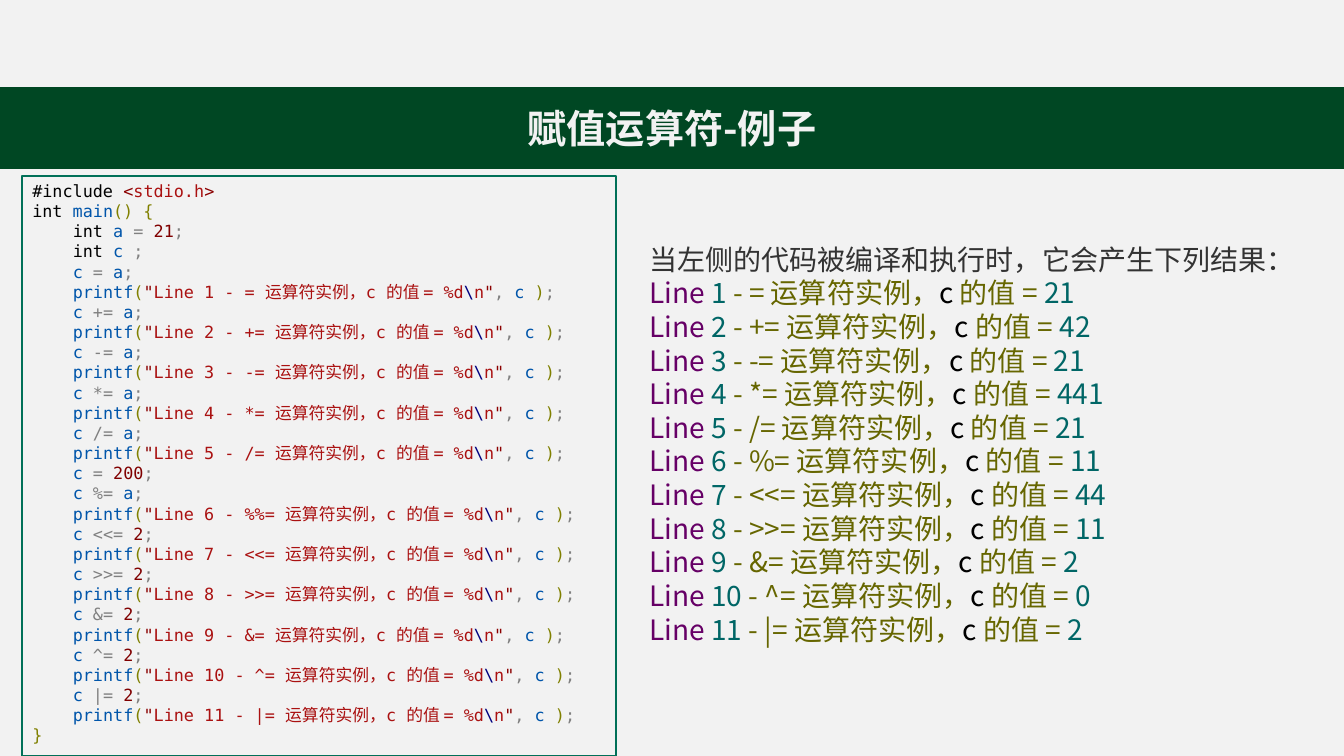
from dataclasses import dataclass

from pptx import Presentation
from pptx.dml.color import RGBColor
from pptx.enum.shapes import MSO_SHAPE
from pptx.enum.text import MSO_ANCHOR as Anchor, MSO_AUTO_SIZE as AutoSize, PP_ALIGN as Align
from pptx.oxml.ns import qn
from pptx.util import Emu, Inches, Pt

SLIDE_WIDTH, SLIDE_HEIGHT = Inches(13.33), Inches(7.5)
GRID = 120  # columns and rows across the slide
SANS, MONO = "Noto Sans CJK SC", "DejaVu Sans Mono"
LINE_RATIO = 1.2
CODE_INDENT = Pt(28.9)  # four monospaced characters

PALE, GREEN, FRAME = "F2F2F2", "004723", "017058"
KEYWORD, NAME, SIGN, NUMBER = "000000", "0055AA", "808080", "800000"
QUOTE, STRING, BRACKET, ESCAPE = "8B0000", "AA1111", "808000", "000080"
HEADING, OUT_LINE, OUT_VALUE, OUT_TEXT = "333333", "660066", "006666", "666600"

Runs = list[tuple[str, str]]


@dataclass(frozen=True)
class Area:
    """Place on the slide, in grid columns and rows."""
    column: float
    row: float
    columns: float
    rows: float

    def box(self) -> tuple[Emu, Emu, Emu, Emu]:
        across, down = SLIDE_WIDTH / GRID, SLIDE_HEIGHT / GRID
        return (Emu(round(self.column * across)), Emu(round(self.row * down)),
                Emu(round(self.columns * across)), Emu(round(self.rows * down)))


@dataclass(frozen=True)
class Step:
    operator: str
    operand: str
    result: str


STEPS = [
    Step("=", "a", "21"), Step("+=", "a", "42"), Step("-=", "a", "21"),
    Step("*=", "a", "441"), Step("/=", "a", "21"), Step("%=", "a", "11"),
    Step("<<=", "2", "44"), Step(">>=", "2", "11"), Step("&=", "2", "2"),
    Step("^=", "2", "0"), Step("|=", "2", "2"),
]


def colour(value: str) -> RGBColor:
    return RGBColor.from_string(value)


def write(frame, lines: list[Runs], *, size: float, font: str, bold: bool = False,
          align=Align.LEFT, anchor=Anchor.TOP, wrap: bool = True, grow: bool = True,
          indents: list[int] | None = None, spacing: float | None = None) -> None:
    """Fill a text frame with one paragraph per line of coloured runs."""
    frame.word_wrap = wrap
    frame.vertical_anchor = anchor
    frame.auto_size = AutoSize.SHAPE_TO_FIT_TEXT if grow else AutoSize.NONE
    for index, runs in enumerate(lines):
        paragraph = frame.paragraphs[0] if index == 0 else frame.add_paragraph()
        paragraph.alignment = align
        if spacing:
            paragraph.line_spacing = Pt(spacing)
        if indents and indents[index]:
            properties = paragraph._p.get_or_add_pPr()
            properties.set("marL", str(indents[index]))
            properties.set("indent", "0")
        for text, shade in runs:
            run = paragraph.add_run()
            run.text = text
            run.font.size = Pt(size)
            run.font.bold = bold
            run.font.name = font
            run.font.color.rgb = colour(shade)
            east_asian = run._r.get_or_add_rPr().makeelement(qn("a:ea"), {"typeface": SANS})
            run.font._element.find(qn("a:latin")).addnext(east_asian)


def rectangle(slide, area: Area, *, fill: str | None = None, line: str | None = None,
              weight: float = 1):
    shape = slide.shapes.add_shape(MSO_SHAPE.RECTANGLE, *area.box())
    shape.shadow.inherit = False
    if fill:
        shape.fill.solid()
        shape.fill.fore_color.rgb = colour(fill)
    else:
        shape.fill.background()
    if line:
        shape.line.color.rgb = colour(line)
        shape.line.width = Pt(weight)
    else:
        shape.line.fill.background()
    return shape


def assignment(operator: str, operand: str) -> Runs:
    shade = NUMBER if operand.isdigit() else NAME
    return [("c", NAME), (f" {operator} ", SIGN), (operand, shade), (";", SIGN)]


def print_call(number: int, operator: str) -> Runs:
    escaped = operator.replace("%", "%%")
    return [("printf", NAME), ("(", BRACKET), ('"', QUOTE),
            (f"Line {number} - {escaped} 运算符实例，c 的值 = %d", STRING),
            ("\\", ESCAPE), ("n", STRING), ('"', QUOTE), (", ", SIGN),
            ("c ", NAME), (")", BRACKET), (";", SIGN)]


def program_body() -> list[Runs]:
    body: list[Runs] = [
        [("int ", KEYWORD), ("a", NAME), (" = ", SIGN), ("21", NUMBER), (";", SIGN)],
        [("int ", KEYWORD), ("c", NAME), (" ;", SIGN)],
    ]
    for number, step in enumerate(STEPS, 1):
        if step.operator == "%=":
            body.append(assignment("=", "200"))
        body += [assignment(step.operator, step.operand), print_call(number, step.operator)]
    return body


def output_line(number: int, step: Step) -> Runs:
    return [("Line ", OUT_LINE), (f"{number} ", OUT_VALUE),
            (f"- {step.operator} 运算符实例，", OUT_TEXT), ("c ", KEYWORD),
            ("的值 = ", OUT_TEXT), (step.result, OUT_VALUE)]


def main() -> None:
    deck = Presentation()
    deck.slide_width, deck.slide_height = SLIDE_WIDTH, SLIDE_HEIGHT
    slide = deck.slides.add_slide(deck.slide_layouts[6])
    for backdrop in (Area(0, 0, GRID, GRID), Area(0, 0, GRID, 13.9)):
        rectangle(slide, backdrop, fill=PALE)

    title = rectangle(slide, Area(0, 13.9, GRID, 12.9), fill=GREEN, line=GREEN)
    write(title.text_frame, [[("赋值运算符-例子", PALE)]], size=28, font=SANS, bold=True,
          align=Align.CENTER, anchor=Anchor.MIDDLE, grow=False)

    body = program_body()
    opening: list[Runs] = [
        [("#include ", KEYWORD), ("<", QUOTE), ("stdio.h", STRING), (">", QUOTE)],
        [("int ", KEYWORD), ("main", NAME), ("() {", BRACKET)],
    ]
    program = rectangle(slide, Area(2, 27.9, 53, 92.1), line=FRAME, weight=1.5)
    write(program.text_frame, opening + body + [[("}", BRACKET)]], size=12, font=MONO,
          indents=[0, 0] + [CODE_INDENT] * len(body) + [0], spacing=12 * LINE_RATIO)

    results = slide.shapes.add_textbox(*Area(57.09, 37.35, 59.86, 66.24).box())
    heading: Runs = [("当左侧的代码被编译和执行时，它会产生下列结果：", HEADING)]
    write(results.text_frame,
          [heading] + [output_line(number, step) for number, step in enumerate(STEPS, 1)],
          size=20, font=SANS, anchor=Anchor.MIDDLE, wrap=False, spacing=20 * LINE_RATIO)

    deck.save("out.pptx")


if __name__ == "__main__":
    main()
